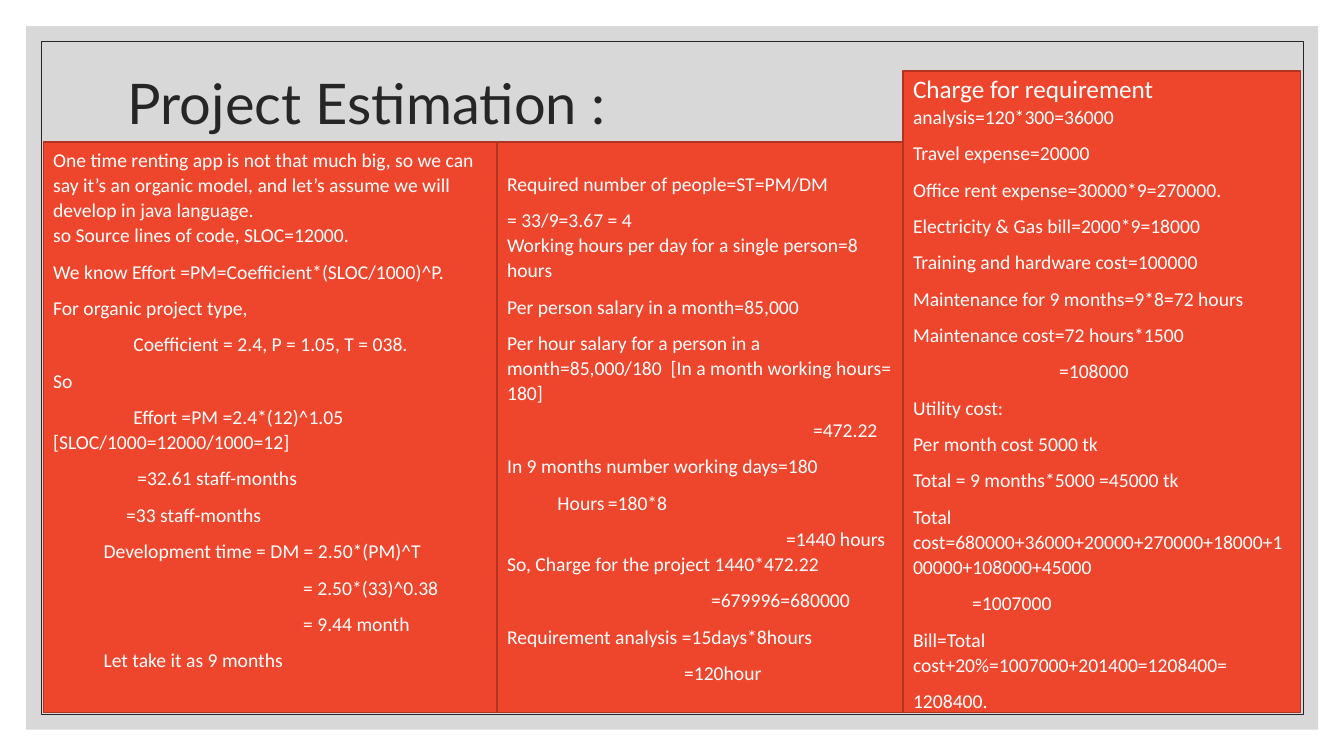
from dataclasses import dataclass

from lxml.etree import SubElement
from pptx import Presentation
from pptx.dml.color import RGBColor
from pptx.enum.shapes import MSO_SHAPE
from pptx.enum.text import MSO_ANCHOR, PP_ALIGN
from pptx.oxml.ns import qn
from pptx.util import Cm, Pt

WHITE, DARK, GREY = "FFFFFF", "262626", "BFBFBF"
RED, DARK_RED = "EE462D", "B03421"
INSET = 0.13


@dataclass
class Line:
    text: str
    indent: float = 0  # first-line indent, cm
    lead: str = ""  # larger opening words
    tabs: tuple[float, ...] = ()  # tab stops, cm


@dataclass
class Panel:
    left: float
    top: float
    width: float
    height: float
    lines: list[Line]
    bottom_inset: float = INSET


PANELS = [
    Panel(1.09, 3.58, 11.43, 14.38, [
        Line("One time renting app is not that much big, so we can say it’s an organic model, "
             "and let’s assume we will develop in java language.\n"
             "so Source lines of code, SLOC=12000."),
        Line("We know Effort =PM=Coefficient*(SLOC/1000)^P."),
        Line("For organic project type,"),
        Line("Coefficient = 2.4, P = 1.05, T = 038.", 2.02),
        Line("So"),
        Line("Effort =PM =2.4*(12)^1.05\n[SLOC/1000=12000/1000=12]", 2.02),
        Line("=32.61 staff-months", 2.12),
        Line("=33 staff-months", 1.84),
        Line("Development time = DM = 2.50*(PM)^T", 1.27),
        Line("= 2.50*(33)^0.38", 6.3),
        Line("= 9.44 month", 6.3),
        Line("Let take it as 9 months", 1.27),
    ], bottom_inset=1.06),
    Panel(12.53, 3.58, 10.23, 14.38, [
        Line("Required number of people=ST=PM/DM"),
        Line("= 33/9=3.67 = 4\nWorking hours per day for a single person=8 hours"),
        Line("Per person salary in a month=85,000"),
        Line("Per hour salary for a person in a month=85,000/180  "
             "[In a month working hours= 180]"),
        Line("=472.22", 7.71),
        Line("In 9 months number working days=180"),
        Line("\tHours\t=180*8", tabs=(4.46, 7.11)),
        Line("=1440 hours\nSo, Charge for the project 1440*472.22", 7.03),
        Line("=679996=680000", 5.14),
        Line("Requirement analysis =15days*8hours"),
        Line("=120hour", 4.46),
    ]),
    Panel(22.76, 1.79, 10.01, 16.17, [
        Line("analysis=120*300=36000", lead="Charge for requirement "),
        Line("Travel expense=20000"),
        Line("Office rent expense=30000*9=270000."),
        Line("Electricity & Gas bill=2000*9=18000"),
        Line("Training and hardware cost=100000"),
        Line("Maintenance for 9 months=9*8=72 hours"),
        Line("Maintenance cost=72 hours*1500"),
        Line("=108000", 3.68),
        Line("Utility cost:"),
        Line("Per month cost 5000 tk"),
        Line("Total = 9 months*5000 =45000 tk"),
        Line("Total cost=680000+36000+20000+270000+18000+100000+108000+45000"),
        Line("=1007000", 1.49),
        Line("Bill=Total cost+20%=1007000+201400=1208400="),
        Line("1208400."),
    ]),
]


def rgb(color: str) -> RGBColor:
    return RGBColor.from_string(color)


def add_rect(s, left: float, top: float, width: float, height: float,
             fill: str = "", line: str = "", weight: float = 1):
    sp = s.shapes.add_shape(MSO_SHAPE.RECTANGLE, Cm(left), Cm(top), Cm(width), Cm(height))
    sp.shadow.inherit = False
    if fill:
        sp.fill.solid()
        sp.fill.fore_color.rgb = rgb(fill)
    else:
        sp.fill.background()
    if line:
        sp.line.color.rgb = rgb(line)
        sp.line.width = Pt(weight)
    else:
        sp.line.fill.background()
    return sp


def add_run(p, text: str, size: float, color: str = WHITE, font: str = "Calibri") -> None:
    r = p.add_run()
    r.text = text
    r.font.name = font
    r.font.size = Pt(size)
    r.font.color.rgb = rgb(color)


def write_line(p, line: Line) -> None:
    p.alignment = PP_ALIGN.LEFT
    p.line_spacing = 1.07
    p.space_after = Pt(8)
    pPr = p._p.get_or_add_pPr()
    pPr.set("marL", "0")
    pPr.set("indent", str(int(Cm(line.indent))))
    if line.tabs:
        tab_list = SubElement(pPr, qn("a:tabLst"))
        for stop in line.tabs:
            SubElement(tab_list, qn("a:tab"), pos=str(int(Cm(stop))), algn="l")
    if line.lead:
        add_run(p, line.lead, 18)
    for i, part in enumerate(line.text.split("\n")):
        if i:
            p.add_line_break()
        add_run(p, part, 14)


def add_panel(s, panel: Panel) -> None:
    sp = add_rect(s, panel.left, panel.top, panel.width, panel.height, RED, DARK_RED)
    tf = sp.text_frame
    tf.word_wrap = True
    tf.vertical_anchor = MSO_ANCHOR.MIDDLE
    tf.margin_bottom = Cm(panel.bottom_inset)
    for i, line in enumerate(panel.lines):
        write_line(tf.add_paragraph() if i else tf.paragraphs[0], line)


def add_title(s, text: str) -> None:
    tf = s.shapes.add_textbox(Cm(2.97), Cm(1.78), Cm(27.94), Cm(1.78)).text_frame
    tf.word_wrap = True
    tf.vertical_anchor = MSO_ANCHOR.MIDDLE
    p = tf.paragraphs[0]
    p.line_spacing = 0.9
    add_run(p, text, 40, DARK, "Lato")


def main() -> None:
    prs = Presentation()
    prs.slide_width, prs.slide_height = Cm(33.87), Cm(19.05)
    s = prs.slides.add_slide(prs.slide_layouts[6])

    # Translucent backdrop and thin frame
    backdrop = add_rect(s, 0.66, 0.66, 32.56, 17.73, GREY)
    color = backdrop._element.spPr.find(qn("a:solidFill"))[0]
    SubElement(color, qn("a:alpha"), val="60000")
    add_rect(s, 1.04, 1.04, 31.8, 16.97, line=DARK, weight=0.5)

    # Title and the three estimation panels
    add_title(s, "Project Estimation :")
    for panel in PANELS:
        add_panel(s, panel)

    prs.save("out.pptx")


if __name__ == "__main__":
    main()
